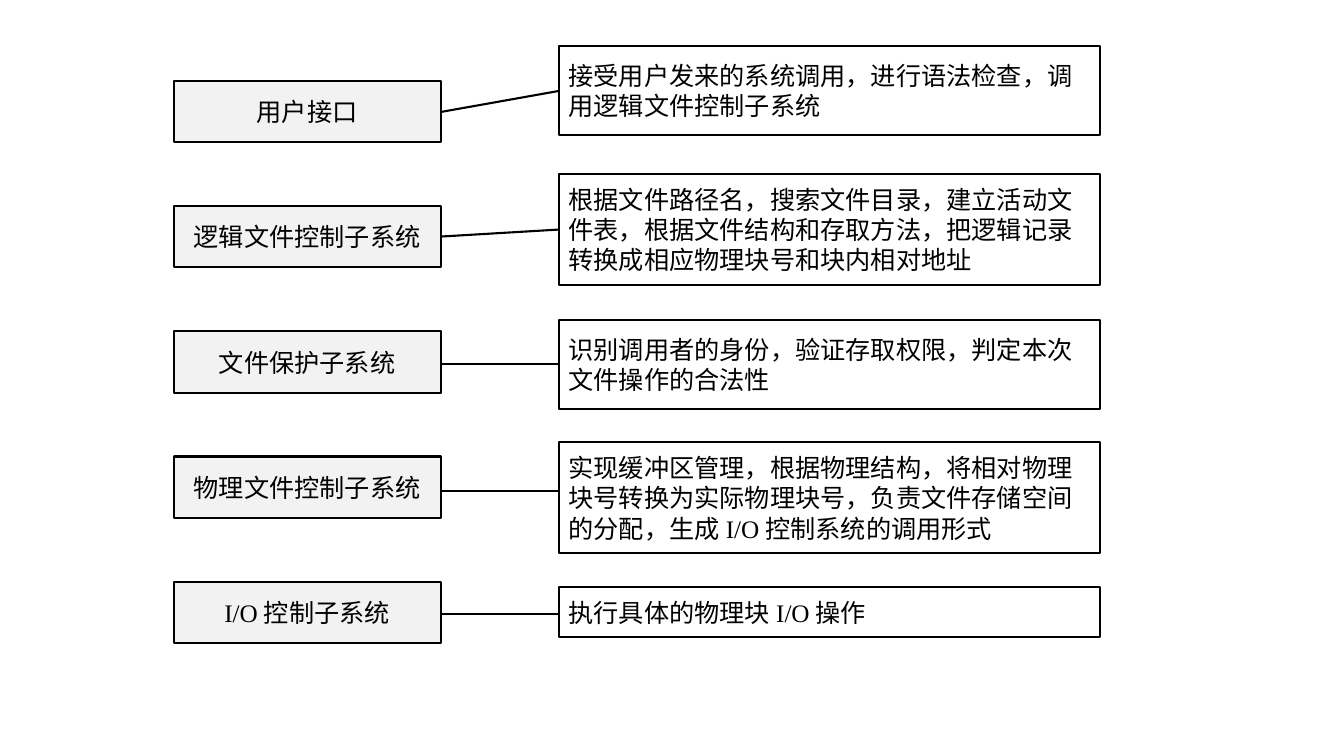
from lxml import etree
from pptx import Presentation
from pptx.dml.color import RGBColor
from pptx.enum.lang import MSO_LANGUAGE_ID
from pptx.enum.shapes import MSO_CONNECTOR, MSO_SHAPE
from pptx.enum.text import MSO_ANCHOR, PP_ALIGN
from pptx.oxml.ns import qn
from pptx.util import Pt

RECTANGLE = MSO_SHAPE.RECTANGLE
STRAIGHT = MSO_CONNECTOR.STRAIGHT
MIDDLE = MSO_ANCHOR.MIDDLE
LEFT, CENTER = PP_ALIGN.LEFT, PP_ALIGN.CENTER
CHINESE = MSO_LANGUAGE_ID.SIMPLIFIED_CHINESE

BLACK = RGBColor(0x00, 0x00, 0x00)
GRAY = RGBColor(0xF2, 0xF2, 0xF2)

CHINESE_FONT = "Roboto"
LATIN_FONT = "Times New Roman"
LATIN_TERM = "I/O"

LAYER_X, LAYER_Y, LAYER_WIDTH, LAYER_HEIGHT = 124, 57.6, 190.8, 44
LAYER_STEP = 89.5
DUTY_X, DUTY_WIDTH = 399, 386.5

# layer, duty, duty top, duty height, connector start and end heights
LAYERS = [
    (["用户接口"],
     ["接受用户发来的系统调用，进行语法检查，调用逻辑文件控制子系统"],
     33, 63.5, 80, 65),
    (["逻辑文件控制子系统"],
     ["根据文件路径名，搜索文件目录，建立活动文件表，"
      "根据文件结构和存取方法，把逻辑记录转换成相应物理块号和块内相对地址"],
     124.5, 79, 169, 164),
    (["文件保护子系统"],
     ["识别调用者的身份，验证存取权限，判定本次文件操作的合法性"],
     228.5, 63.5, 260, 260),
    (["物理文件控制子系统"],
     ["实现缓冲区管理，根据物理结构，将相对物理块号转换为实际物理块号，"
      "负责文件存储空间的分配，生成", LATIN_TERM, "控制系统的调用形式"],
     316, 79, 350.5, 350.5),
    ([LATIN_TERM, "控制子系统"],
     ["执行具体的物理块", LATIN_TERM, "操作"],
     419.5, 35.5, 438.5, 438.5),
]


def add_span(para, text):
    span = para.add_run()
    span.text = text
    span.font.size = Pt(18)
    span.font.color.rgb = BLACK
    if text == LATIN_TERM:
        span.font.name = LATIN_FONT
    else:
        span.font.name = CHINESE_FONT
        span.font.language_id = CHINESE
        latin = span.font._element.find(qn("a:latin"))
        east_asian = etree.Element(qn("a:ea"), typeface=CHINESE_FONT)
        latin.addnext(east_asian)


def add_box(page, left, top, width, height, texts, align, fill=None):
    box = page.shapes.add_shape(
        RECTANGLE, Pt(left), Pt(top), Pt(width), Pt(height))
    box.shadow.inherit = False
    if fill is None:
        box.fill.background()
    else:
        box.fill.solid()
        box.fill.fore_color.rgb = fill
    box.line.color.rgb = BLACK
    box.line.width = Pt(1.5)
    frame = box.text_frame
    frame.word_wrap = True
    frame.vertical_anchor = MIDDLE
    para = frame.paragraphs[0]
    para.alignment = align
    for text in texts:
        add_span(para, text)


def add_link(page, start_y, end_y):
    link = page.shapes.add_connector(
        STRAIGHT, Pt(LAYER_X + LAYER_WIDTH), Pt(start_y),
        Pt(DUTY_X), Pt(end_y))
    link.line.color.rgb = BLACK
    link.line.width = Pt(1.5)
    etree.SubElement(link._element.spPr, qn("a:effectLst"))


def main():
    deck = Presentation()
    deck.slide_width, deck.slide_height = Pt(960), Pt(540)
    page = deck.slides.add_slide(deck.slide_layouts[6])
    for row, (layer, duty, top, height, start_y, end_y) in enumerate(LAYERS):
        add_box(page, LAYER_X, LAYER_Y + row * LAYER_STEP,
                LAYER_WIDTH, LAYER_HEIGHT, layer, CENTER, GRAY)
        add_box(page, DUTY_X, top, DUTY_WIDTH, height, duty, LEFT)
        add_link(page, start_y, end_y)
    deck.save("out.pptx")


if __name__ == "__main__":
    main()
